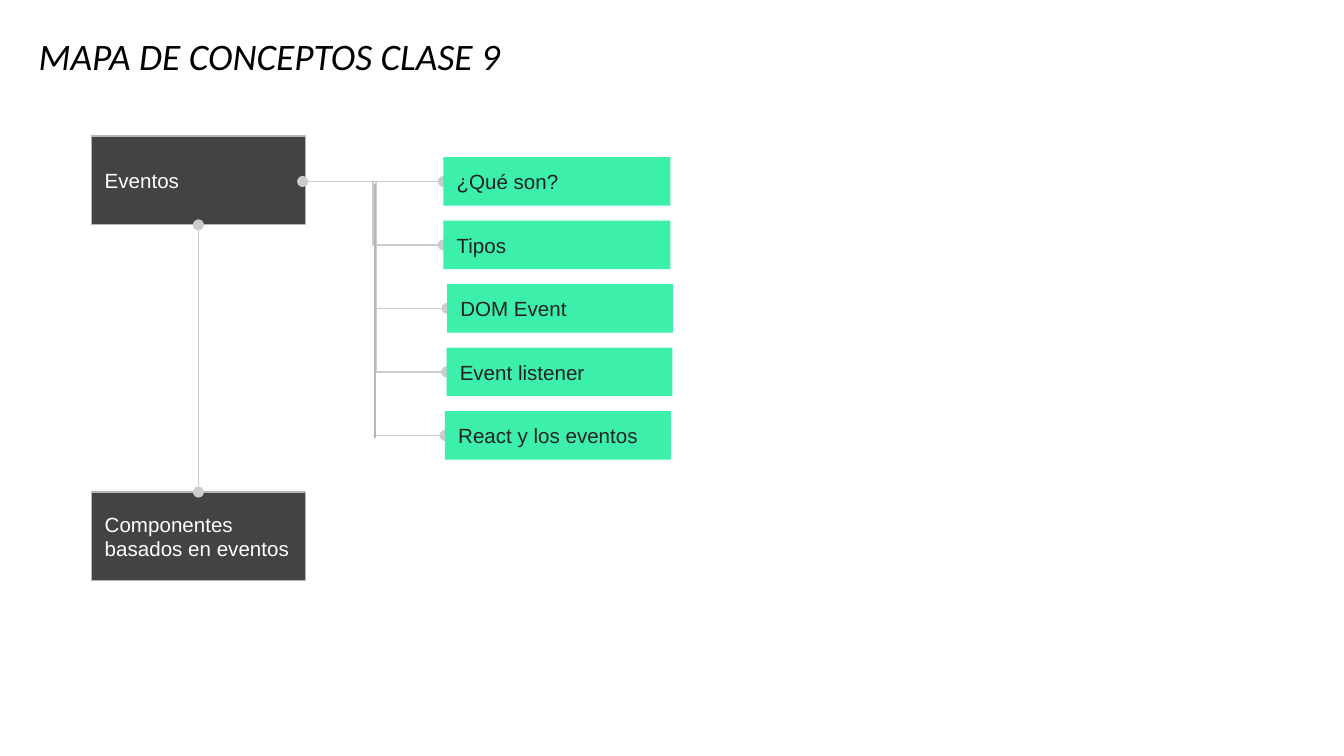
from lxml import etree
from pptx import Presentation
from pptx.dml.color import RGBColor
from pptx.enum import shapes, text
from pptx.oxml import ns
from pptx.util import Cm, Pt

BLACK = RGBColor(0x00, 0x00, 0x00)
WHITE = RGBColor(0xFF, 0xFF, 0xFF)
CHARCOAL = RGBColor(0x43, 0x43, 0x43)
INK = RGBColor(0x22, 0x22, 0x22)
GREEN = RGBColor(0x3C, 0xEF, 0xAB)
GRAY = RGBColor(0xB7, 0xB7, 0xB7)
LIGHT_GRAY = RGBColor(0xCC, 0xCC, 0xCC)

STRAIGHT = shapes.MSO_CONNECTOR.STRAIGHT
ELBOW = shapes.MSO_CONNECTOR.ELBOW
LINE_WIDTH = Pt(0.75)
INSET = Cm(0.25)

# Lengths in centimetres
TOPIC_LEFT, TOPIC_WIDTH, TOPIC_HEIGHT = 1.73, 4.04, 1.68
TOPIC_TOPS = {"Eventos": 2.57, "Componentes basados en eventos": 9.3}
CONCEPT_TOP, CONCEPT_PITCH, CONCEPT_HEIGHT = 2.97, 1.2, 0.92
# Label, left, width, connector kind, connector start, connector head
CONCEPTS = [
    ("¿Qué son?", 8.38, 4.29, STRAIGHT, 5.72, "oval"),
    ("Tipos", 8.38, 4.29, ELBOW, 5.72, None),
    ("DOM Event", 8.45, 4.27, ELBOW, 5.77, None),
    ("Event listener", 8.44, 4.27, ELBOW, 5.77, None),
    ("React y los eventos", 8.41, 4.27, STRAIGHT, 7.04, None),
]


def set_frame(frame, anchor):
    frame.word_wrap = True
    frame.auto_size = text.MSO_AUTO_SIZE.NONE
    frame.vertical_anchor = anchor
    frame.margin_left = frame.margin_right = INSET
    frame.margin_top = frame.margin_bottom = INSET


def write(frame, words, font_name, size, color):
    paragraph = frame.paragraphs[0]
    paragraph.text = words
    paragraph.alignment = text.PP_ALIGN.LEFT
    paragraph.font.name = font_name
    paragraph.font.size = Pt(size)
    paragraph.font.color.rgb = color
    return paragraph


def add_title(slide, words):
    title = slide.shapes.title
    title.left, title.top, title.width, title.height = Cm(0.48), Cm(0.56), Cm(20.98), Cm(1.17)
    set_frame(title.text_frame, text.MSO_ANCHOR.BOTTOM)
    write(title.text_frame, words, "Calibri", 20, BLACK).font.italic = True


def add_box(slide, words, left, top, width, height, fill, color, outline=None):
    box = slide.shapes.add_shape(
        shapes.MSO_SHAPE.RECTANGLE, Cm(left), Cm(top), Cm(width), Cm(height))
    box.shadow.inherit = False
    box.fill.solid()
    box.fill.fore_color.rgb = fill
    if outline is None:
        box.line.fill.background()
    else:
        box.line.color.rgb = outline
        box.line.width = LINE_WIDTH
    set_frame(box.text_frame, text.MSO_ANCHOR.MIDDLE)
    write(box.text_frame, words, "Arial", 11, color)


def add_line(slide, kind, start, end, color=LIGHT_GRAY, head=None, tail=None):
    """Connect two (x, y) points, with optional end markers."""
    connector = slide.shapes.add_connector(kind, *map(Cm, start + end))
    connector.line.color.rgb = color
    connector.line.width = LINE_WIDTH
    outline = connector.line._get_or_add_ln()
    for tag, marker in (("a:headEnd", head), ("a:tailEnd", tail)):
        if marker:
            etree.SubElement(outline, ns.qn(tag), type=marker)
    etree.SubElement(connector._element.spPr, ns.qn("a:effectLst"))


def add_topics(slide):
    for words, top in TOPIC_TOPS.items():
        add_box(slide, words, TOPIC_LEFT, top, TOPIC_WIDTH, TOPIC_HEIGHT,
                CHARCOAL, WHITE, GRAY)
    first_top, last_top = TOPIC_TOPS.values()
    center = TOPIC_LEFT + TOPIC_WIDTH / 2
    add_line(slide, STRAIGHT, (center, first_top + TOPIC_HEIGHT), (center, last_top),
             head="oval", tail="oval")


def add_concepts(slide):
    first_middle = CONCEPT_TOP + CONCEPT_HEIGHT / 2
    for index, (words, left, width, kind, start, head) in enumerate(CONCEPTS):
        top = CONCEPT_TOP + index * CONCEPT_PITCH
        middle = top + CONCEPT_HEIGHT / 2
        start_y = first_middle if kind == ELBOW else middle
        add_line(slide, kind, (start, start_y), (left, middle), head=head, tail="oval")
        add_box(slide, words, left, top, width, CONCEPT_HEIGHT, GREEN, INK)
    add_line(slide, STRAIGHT, (7.09, 3.48), (7.09, 8.28), GRAY)


def main():
    presentation = Presentation()
    presentation.slide_width, presentation.slide_height = Cm(25.4), Cm(14.29)
    slide = presentation.slides.add_slide(presentation.slide_layouts[5])
    add_title(slide, "MAPA DE CONCEPTOS CLASE 9")
    add_topics(slide)
    add_concepts(slide)
    presentation.save("out.pptx")


if __name__ == "__main__":
    main()
